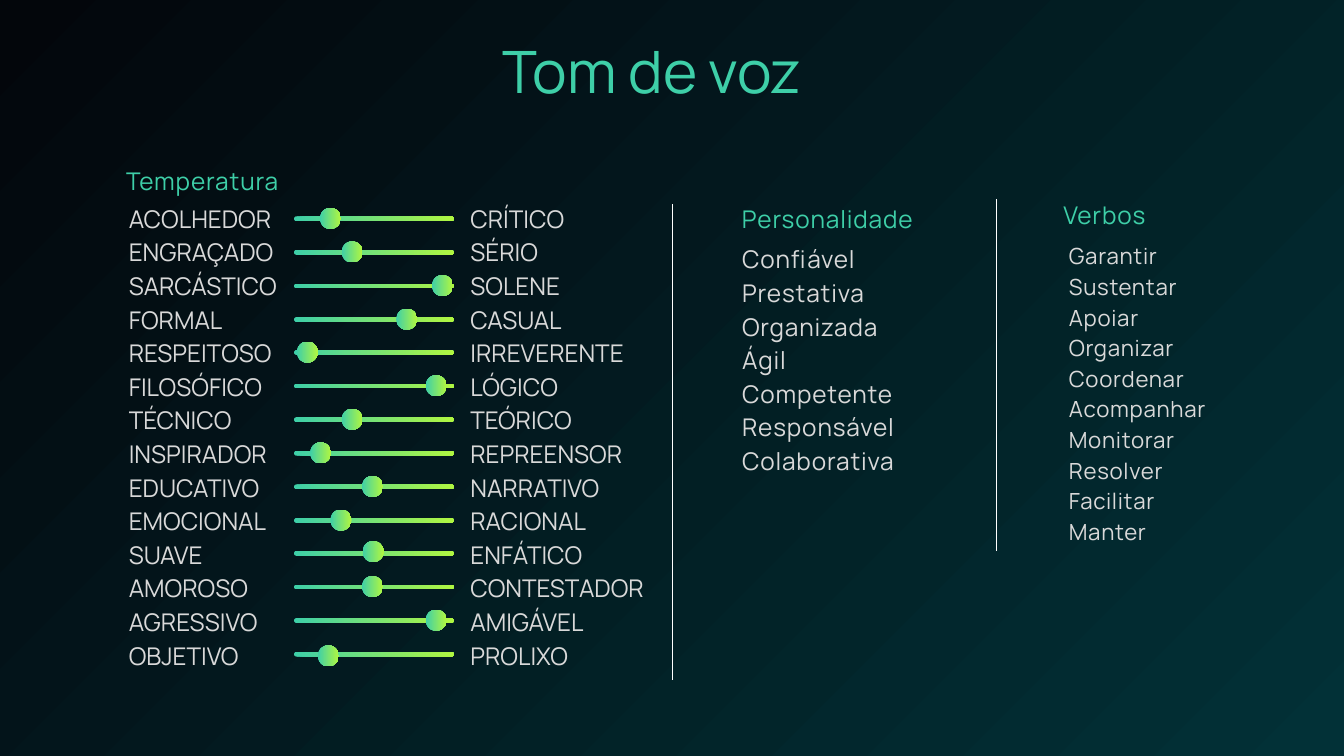
from dataclasses import dataclass

from lxml import etree
from pptx import Presentation
from pptx.dml.color import RGBColor
from pptx.dml.fill import FillFormat
from pptx.enum.shapes import MSO_CONNECTOR, MSO_SHAPE
from pptx.enum.text import MSO_AUTO_SIZE
from pptx.oxml import parse_xml
from pptx.oxml.ns import nsdecls, qn
from pptx.slide import Slide
from pptx.util import Pt

PX = 9525  # EMU in one px, 96 px to the inch
STRAIGHT = MSO_CONNECTOR.STRAIGHT
OVAL = MSO_SHAPE.OVAL
ROUNDED = MSO_SHAPE.ROUNDED_RECTANGLE
GROW = MSO_AUTO_SIZE.SHAPE_TO_FIT_TEXT

FONT = "Manrope"
NIGHT = RGBColor(0x03, 0x06, 0x0B)
PETROL = RGBColor(0x02, 0x31, 0x37)
MINT = RGBColor(0x3E, 0xCF, 0xA8)
LIME = RGBColor(0xB0, 0xF6, 0x41)
GREY = RGBColor(0xD9, 0xD9, 0xD9)
WHITE = RGBColor(0xFF, 0xFF, 0xFF)

TRACK_X, TRACK_Y, TRACK_W, TRACK_H = 420, 309, 228, 7
LAST_TRACK_Y = 931
KNOB = 30


@dataclass
class TextBlock:
    lines: list[str]
    x: int
    y: int
    w: int
    h: int
    size: float = 26.1
    leading: float = 36
    spacing: int = 90  # hundredths of a point
    heading: bool = False


@dataclass
class Slider:
    left: str
    right: str
    knob_x: int
    nudge: int = 0


@dataclass
class Divider:
    x: int
    top: int
    bottom: int


SLIDERS = [
    Slider("ACOLHEDOR", "CRÍTICO", 457),
    Slider("ENGRAÇADO", "SÉRIO", 488),
    Slider("SARCÁSTICO", "SOLENE", 617),
    Slider("FORMAL", "CASUAL", 566),
    Slider("RESPEITOSO", "IRREVERENTE", 424),
    Slider("FILOSÓFICO", "LÓGICO", 608),
    Slider("TÉCNICO", "TEÓRICO", 488),
    Slider("INSPIRADOR", "REPREENSOR", 443),
    Slider("EDUCATIVO", "NARRATIVO", 517),
    Slider("EMOCIONAL", "RACIONAL", 472),
    Slider("SUAVE", "ENFÁTICO", 518, nudge=-2),
    Slider("AMOROSO", "CONTESTADOR", 517),
    Slider("AGRESSIVO", "AMIGÁVEL", 608),
    Slider("OBJETIVO", "PROLIXO", 454, nudge=3),
]
TRAITS = ["Confiável", "Prestativa", "Organizada", "Ágil", "Competente",
          "Responsável", "Colaborativa"]
VERBS = ["Garantir", "Sustentar", "Apoiar", "Organizar", "Coordenar",
         "Acompanhar", "Monitorar", "Resolver", "Facilitar", "Manter"]

TEXTS = [
    TextBlock(["Tom de voz"], 718, 59, 484, 99, 62.6, 68.9, 0, True),
    TextBlock(["Temperatura"], 180, 231, 243, 49, heading=True),
    TextBlock([s.left for s in SLIDERS], 184, 285, 241, 669, spacing=0),
    TextBlock([s.right for s in SLIDERS], 672, 285, 288, 669, spacing=0),
    TextBlock(["Personalidade"], 1060, 286, 267, 47, heading=True),
    TextBlock(TRAITS, 1060, 343, 243, 333),
    TextBlock(["Verbos"], 1519, 280, 130, 47, heading=True),
    TextBlock(VERBS, 1527, 341, 222, 430, 23.8, 32.8, 80),
]
DIVIDERS = [Divider(960, 292, 972), Divider(1423, 284, 787)]


def set_gradient(fill: FillFormat, start: RGBColor, end: RGBColor) -> None:
    fill.gradient()
    fill.gradient_angle = 0
    for stop, color in zip(fill.gradient_stops, (start, end)):
        stop.color.rgb = color


def paint_background(s: Slide) -> None:
    """Radiate the gradient from the top left corner."""
    set_gradient(s.background.fill, NIGHT, PETROL)
    lin = next(s.background._cSld.iter(qn("a:lin")))
    lin.getparent().replace(lin, parse_xml(
        f'<a:path {nsdecls("a")} path="circle">'
        '<a:fillToRect r="100000" b="100000"/></a:path>'))


def add_text(s: Slide, block: TextBlock) -> None:
    box = s.shapes.add_textbox(*(v * PX for v in (block.x, block.y, block.w, block.h)))
    tf = box.text_frame
    frame_format = {"margin_left": 0, "margin_top": 0, "margin_right": 0,
                    "margin_bottom": 0, "word_wrap": True, "auto_size": GROW}
    for name, value in frame_format.items():
        setattr(tf, name, value)
    for i, line in enumerate(block.lines):
        p = tf.add_paragraph() if i else tf.paragraphs[0]
        p.line_spacing = Pt(block.leading)
        r = p.add_run()
        r.text = line
        for name, value in {"name": FONT, "size": Pt(block.size)}.items():
            setattr(r.font, name, value)
        if block.heading:
            set_gradient(r.font.fill, MINT, LIME)
        else:
            r.font.color.rgb = GREY
        if block.spacing:
            r._r.get_or_add_rPr().set("spc", str(block.spacing))


def add_glow_shape(s: Slide, kind: MSO_SHAPE, x: int, y: int, w: int, h: int) -> None:
    """Add a borderless shape filled from mint to lime."""
    sp = s.shapes.add_shape(kind, *(v * PX for v in (x, y, w, h)))
    sp.shadow.inherit = False
    sp.line.fill.background()
    set_gradient(sp.fill, MINT, LIME)
    if kind == ROUNDED:
        sp.adjustments[0] = 0.5


def add_slider(s: Slide, slider: Slider, y: int) -> None:
    add_glow_shape(s, ROUNDED, TRACK_X, y, TRACK_W, TRACK_H)
    knob_y = y + (TRACK_H - KNOB) // 2 + slider.nudge
    add_glow_shape(s, OVAL, slider.knob_x, knob_y, KNOB, KNOB)


def add_divider(s: Slide, divider: Divider) -> None:
    x = divider.x * PX
    line = s.shapes.add_connector(STRAIGHT, x, divider.top * PX, x, divider.bottom * PX)
    line.line.color.rgb = WHITE
    line.line.width = Pt(0.75)
    etree.SubElement(line._element.spPr, qn("a:effectLst"))


def main() -> None:
    prs = Presentation()
    prs.slide_width, prs.slide_height = 1920 * PX, 1080 * PX
    s = prs.slides.add_slide(prs.slide_layouts[6])
    paint_background(s)
    for i, slider in enumerate(SLIDERS):
        offset = (LAST_TRACK_Y - TRACK_Y) * i / (len(SLIDERS) - 1)
        add_slider(s, slider, TRACK_Y + round(offset))
    for block in TEXTS:
        add_text(s, block)
    for divider in DIVIDERS:
        add_divider(s, divider)
    prs.save("out.pptx")


if __name__ == "__main__":
    main()
